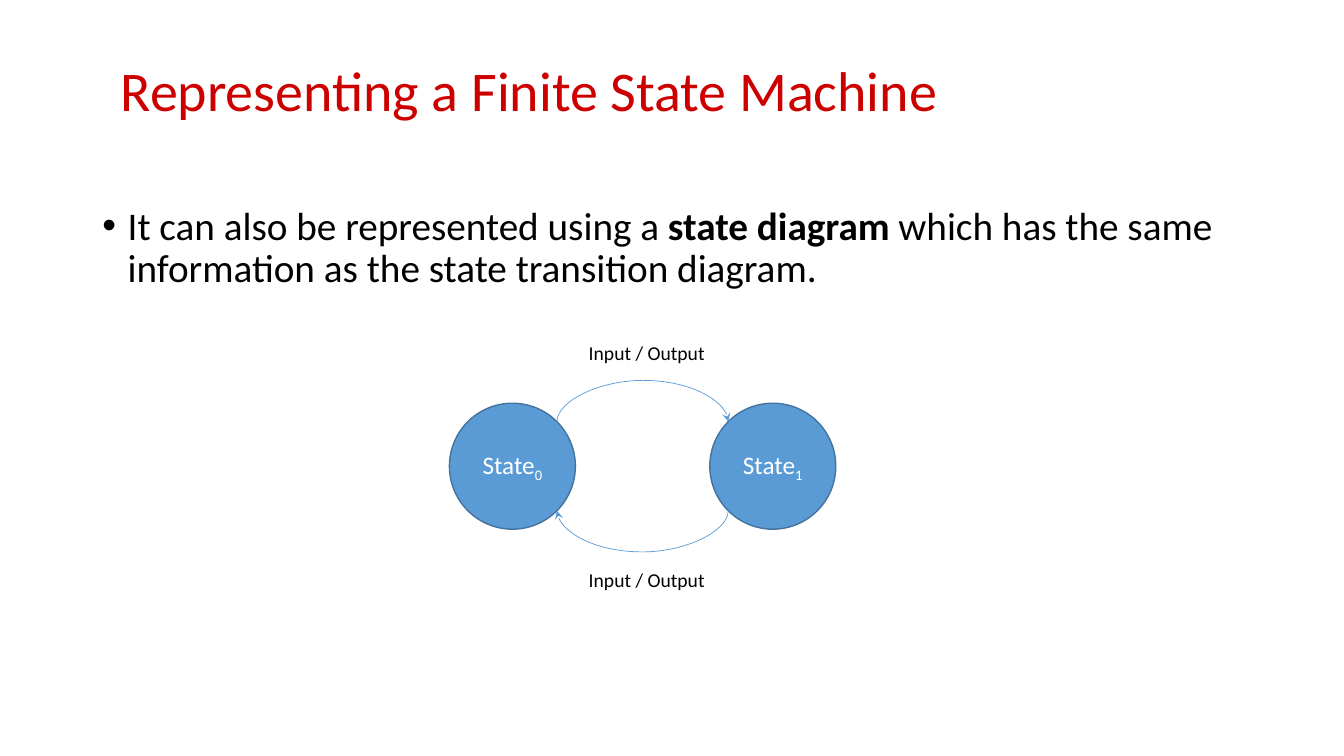
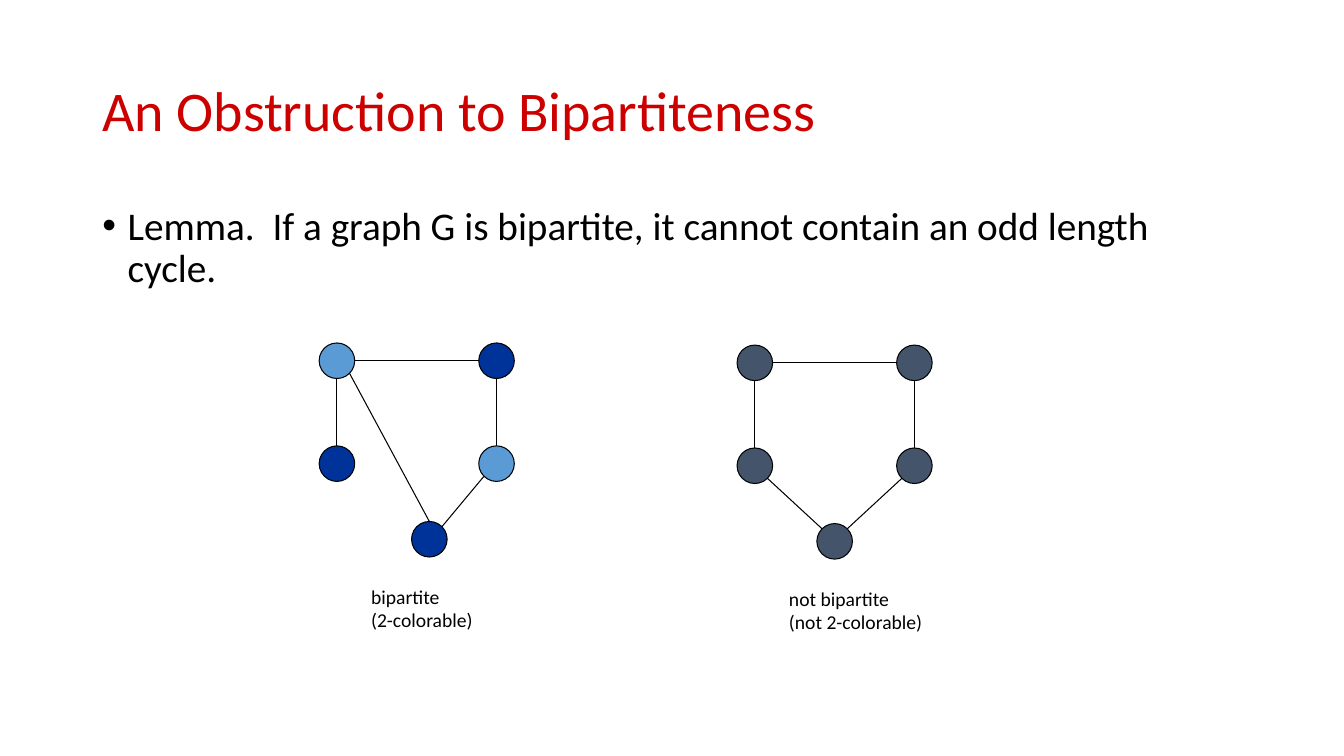
from dataclasses import dataclass
from math import cos, radians, sin

from lxml import etree
from pptx import Presentation
from pptx.dml.color import RGBColor
from pptx.enum.shapes import MSO_CONNECTOR, MSO_SHAPE
from pptx.enum.text import MSO_ANCHOR, MSO_AUTO_SIZE, PP_ALIGN
from pptx.oxml.ns import qn
from pptx.util import Pt

OVAL = MSO_SHAPE.OVAL
STRAIGHT, CURVE = MSO_CONNECTOR.STRAIGHT, MSO_CONNECTOR.CURVE
LEFT, CENTER = PP_ALIGN.LEFT, PP_ALIGN.CENTER
MIDDLE = MSO_ANCHOR.MIDDLE
NO_FIT = MSO_AUTO_SIZE.NONE


@dataclass(frozen=True)
class Theme:
    font: str = "Calibri"
    red: RGBColor = RGBColor(0xCD, 0x00, 0x00)
    black: RGBColor = RGBColor(0x00, 0x00, 0x00)
    white: RGBColor = RGBColor(0xFF, 0xFF, 0xFF)
    blue: RGBColor = RGBColor(0x5B, 0x9B, 0xD5)
    outline: RGBColor = RGBColor(0x43, 0x73, 0x9E)
    navy: RGBColor = RGBColor(0x00, 0x33, 0x99)
    slate: RGBColor = RGBColor(0x44, 0x54, 0x6A)
    title: int = 40
    body: int = 28
    state: int = 18
    label: int = 14


THEME = Theme()

# Connection sites of an oval, counterclockwise from the top
N, NW, W, SW, S, SE, E, NE = range(8)


def style(para, size, colour, align=LEFT):
    para.alignment = align
    for span in para.runs:
        span.font.name = THEME.font
        span.font.size = Pt(size)
        span.font.color.rgb = colour


def link(page, kind, start, start_site, end, end_site, colour, width):
    """Join two ovals at the given sites and return the connector."""
    points = []
    for oval, site in ((start, start_site), (end, end_site)):
        angle, radius = radians(45 * site), oval.width / 2
        points += [round(oval.left + radius - radius * sin(angle)),
                   round(oval.top + radius - radius * cos(angle))]
    line = page.shapes.add_connector(kind, *points)
    line.line.color.rgb = colour
    line.line.width = Pt(width)
    etree.SubElement(line._element.spPr, qn("a:effectLst"))
    glue = line._element.find(".//" + qn("p:cNvCxnSpPr"))
    for tag, oval, site in (("a:stCxn", start, start_site), ("a:endCxn", end, end_site)):
        etree.SubElement(glue, qn(tag), id=str(oval.shape_id), idx=str(site))
    return line


deck = Presentation()
deck.slide_width, deck.slide_height = Pt(960), Pt(540)
layout = deck.slide_layouts[1]

# Titles and bullets: each body is a list of (text, bold) spans
contents = [
    ("Representing a Finite State Machine", (79, 25, 672, 84),
     [("It can also be represented using a ", False), ("state diagram", True),
      (" which has the same information as the state transition diagram.", False)]),
    ("An Obstruction to Bipartiteness", (66, 29, 828, 104),
     [("Lemma.  If a graph G is bipartite, it cannot contain an odd length cycle.", False)]),
]
for title_text, title_place, spans in contents:
    page = deck.slides.add_slide(layout)
    title, body = page.placeholders
    for box, place in ((title, title_place), (body, (66, 144, 828, 343))):
        box.left, box.top, box.width, box.height = map(Pt, place)
        box.text_frame.auto_size = NO_FIT
    title.text_frame.text = title_text
    title.text_frame.vertical_anchor = MIDDLE
    para = title.text_frame.paragraphs[0]
    para.line_spacing = 0.9
    style(para, THEME.title, THEME.red)

    para = body.text_frame.paragraphs[0]
    para.line_spacing = 0.9
    para.space_before = Pt(0)
    properties = para._p.get_or_add_pPr()
    properties.set("marL", str(Pt(18)))
    properties.set("indent", str(Pt(-18)))
    etree.SubElement(properties, qn("a:buFont"), typeface="Arial")
    etree.SubElement(properties, qn("a:buChar"), char="•")
    for text, bold in spans:
        span = para.add_run()
        span.text = text
        span.font.bold = bold
    style(para, THEME.body, THEME.black)

machine_page, graph_page = deck.slides

# State machine: two states
states = []
for index, left in enumerate((321, 507)):
    state = machine_page.shapes.add_shape(OVAL, Pt(left), Pt(288), Pt(90), Pt(90))
    state.shadow.inherit = False
    state.fill.solid()
    state.fill.fore_color.rgb = THEME.blue
    state.line.color.rgb = THEME.outline
    state.line.width = Pt(1)
    state.text_frame.vertical_anchor = MIDDLE
    para = state.text_frame.paragraphs[0]
    para.text = "State"
    subscript = para.add_run()
    subscript.text = str(index)
    subscript.font._element.set("baseline", "-25000")
    style(para, THEME.state, THEME.white, CENTER)
    states.append(state)

# State machine: arcs, as thin upright connectors turned by a quarter
first, second = states
thin, bulge = 0.12, 31.2
for start, start_site, end, end_site, flip in ((first, NE, second, NW, "1"),
                                               (second, SW, first, SE, "0")):
    arc = link(machine_page, CURVE, start, start_site, end, end_site, THEME.blue, 0.5)
    span_width, middle, level = arc.width, arc.left + arc.width // 2, arc.top
    arc.left, arc.top = middle - Pt(thin) // 2, level - span_width // 2
    arc.width, arc.height = Pt(thin), span_width
    frame = arc._element.spPr.find(qn("a:xfrm"))
    for name, value in (("rot", "5400000"), ("flipH", flip), ("flipV", flip)):
        frame.set(name, value)
    guides = arc._element.spPr.find(qn("a:prstGeom")).find(qn("a:avLst"))
    etree.SubElement(guides, qn("a:gd"), name="adj1",
                     fmla=f"val {round(bulge / thin * 100000)}")
    etree.SubElement(arc.line._get_or_add_ln(), qn("a:tailEnd"), type="stealth")

# State machine: arc labels
for top in (240, 402):
    box = machine_page.shapes.add_textbox(Pt(405), Pt(top), Pt(114), Pt(24))
    box.text_frame.word_wrap = True
    box.text_frame.text = "Input / Output"
    style(box.text_frame.paragraphs[0], THEME.label, THEME.black, CENTER)

# Graphs: nodes are top left, top right, left, right, bottom
TOP_LEFT, TOP_RIGHT, LOW_LEFT, LOW_RIGHT, BOTTOM = range(5)
shared_edges = [(TOP_LEFT, E, TOP_RIGHT, W), (LOW_RIGHT, N, TOP_RIGHT, S),
                (LOW_LEFT, N, TOP_LEFT, S), (BOTTOM, NE, LOW_RIGHT, SW)]
graphs = [
    (228, 245, 66, (THEME.blue, THEME.navy, THEME.navy, THEME.blue, THEME.navy),
     (BOTTOM, N, TOP_LEFT, SE), "bipartite\v(2-colorable)"),
    (526.5, 246.5, 57, (THEME.slate,) * 5,
     (LOW_LEFT, SE, BOTTOM, NW), "not bipartite\v(not 2-colorable)"),
]
for left, top, bottom_x, fills, own_edge, caption in graphs:
    places = [(0, 0), (114, 0), (0, 73.5), (114, 73.5), (bottom_x, 127.5)]
    nodes = []
    for (x, y), fill in zip(places, fills):
        node = graph_page.shapes.add_shape(OVAL, Pt(left + x), Pt(top + y), Pt(25.4), Pt(25.4))
        node.shadow.inherit = False
        node.fill.solid()
        node.fill.fore_color.rgb = fill
        node.line.color.rgb = THEME.black
        node.line.width = Pt(0.75)
        nodes.append(node)
    for start, start_site, end, end_site in shared_edges + [own_edge]:
        link(graph_page, STRAIGHT, nodes[start], start_site, nodes[end], end_site,
             THEME.black, 0.75)
    box = graph_page.shapes.add_textbox(Pt(left + 30), Pt(top + 169), Pt(130), Pt(41))
    box.text_frame.word_wrap = True
    box.text_frame.text = caption
    style(box.text_frame.paragraphs[0], THEME.label, THEME.black)

deck.save("out.pptx")
